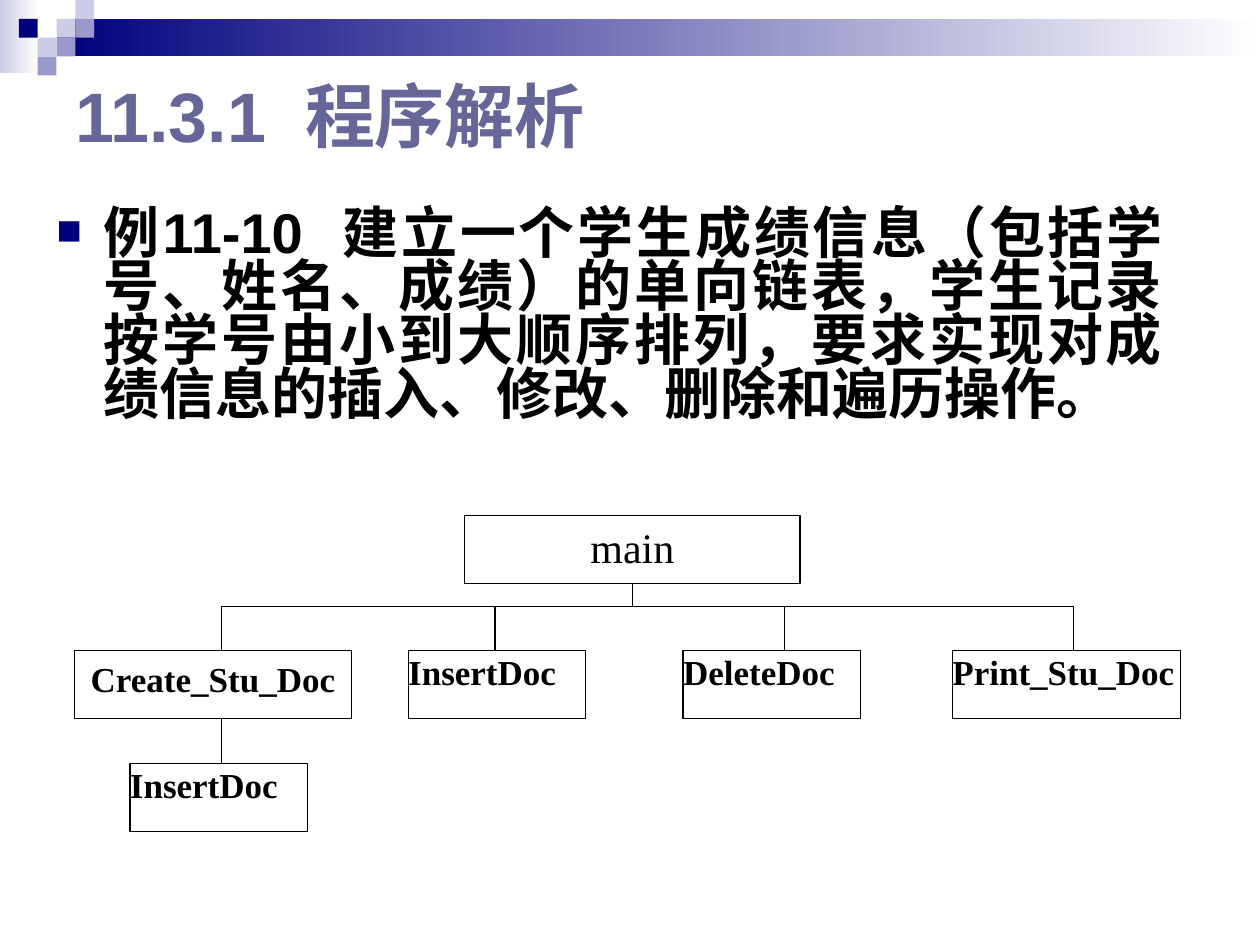
from lxml.etree import SubElement
from pptx import Presentation
from pptx.dml.color import RGBColor
from pptx.enum.shapes import MSO_CONNECTOR, MSO_SHAPE
from pptx.enum.text import MSO_ANCHOR, MSO_AUTO_SIZE, PP_ALIGN
from pptx.oxml.ns import qn
from pptx.util import Cm, Pt


def color(hex_text):
    return RGBColor.from_string(hex_text)


def add_box(left, top, width, height):
    shape = slide.shapes.add_shape(
        MSO_SHAPE.RECTANGLE, Cm(left), Cm(top), Cm(width), Cm(height))
    shape.shadow.inherit = False
    shape.line.fill.background()
    return shape


presentation = Presentation()
presentation.slide_width, presentation.slide_height = Cm(25.4), Cm(19.05)
slide = presentation.slides.add_slide(presentation.slide_layouts[1])

# Header: two gradient bands and a mosaic of small squares
for left, top, width, height, start in [
    (0, 0, 0.79, 1.47, "CCCCE6"),
    (1.14, 0.38, 24.26, 0.76, "00007D"),
]:
    band = add_box(left, top, width, height)
    band.fill.gradient()
    band.fill.gradient_angle = 0
    for stop, stop_color in zip(band.fill.gradient_stops, (start, "FFFFFF")):
        stop.color.rgb = color(stop_color)

SQUARE = 0.38
for column, row, square_color in [
    (3, 1, "CCCCE6"), (4, 0, "CCCCE6"), (4, 1, "9999CC"), (2, 2, "CCCCE6"),
    (1, 1, "00007D"), (3, 2, "9999CC"), (2, 3, "9999CC"),
]:
    square = add_box(column * SQUARE, row * SQUARE, SQUARE, SQUARE)
    square.fill.solid()
    square.fill.fore_color.rgb = color(square_color)

# Title and body text
title, body = slide.shapes.title, slide.placeholders[1]
for holder, text, place, size, text_color, align, anchor in [
    (title, "11.3.1  程序解析", (1.27, 1.27, 22.86, 2.06), 40, "666699",
     PP_ALIGN.LEFT, MSO_ANCHOR.MIDDLE),
    (body, "例11-10  建立一个学生成绩信息（包括学号、姓名、成绩）的单向链表，"
           "学生记录按学号由小到大顺序排列，要求实现对成绩信息的插入、修改、"
           "删除和遍历操作。", (0.89, 4.11, 22.81, 13.79), 32, "000000",
     PP_ALIGN.JUSTIFY, MSO_ANCHOR.TOP),
]:
    holder.left, holder.top, holder.width, holder.height = map(Cm, place)
    frame = holder.text_frame
    frame.text = text
    frame.auto_size = MSO_AUTO_SIZE.NONE
    frame.vertical_anchor = anchor
    frame.paragraphs[0].alignment = align
    font = frame.paragraphs[0].runs[0].font
    font.name, font.size, font.bold = "Arial", Pt(size), True
    font.color.rgb = color(text_color)

# Square bullet of the body paragraph
paragraph = body.text_frame.paragraphs[0]
paragraph.line_spacing = 0.8
paragraph.space_before = Pt(6.4)
properties = paragraph._p.get_or_add_pPr()
properties.set("marL", str(Cm(0.95)))
properties.set("indent", str(-Cm(0.95)))
bullet_color = SubElement(properties, qn("a:buClr"))
SubElement(bullet_color, qn("a:srgbClr"), val="00007D")
SubElement(properties, qn("a:buSzPct"), val="75000")
SubElement(properties, qn("a:buFont"), typeface="Arial")
SubElement(properties, qn("a:buChar"), char="■")

# Call tree: connecting lines
BUS, ROW, CHILD, BOX_HEIGHT = 12.22, 13.12, 15.39, 1.37
drops = [4.47, 9.98, 15.82, 21.64]
lines = [(drops[0], BUS, drops[-1], BUS)]
lines += [(x, BUS, x, ROW) for x in drops]
lines += [(12.75, 11.76, 12.75, BUS),
          (drops[0], ROW + BOX_HEIGHT, drops[0], CHILD)]
for ends in lines:
    connector = slide.shapes.add_connector(
        MSO_CONNECTOR.STRAIGHT, *map(Cm, ends))
    connector.line.color.rgb = color("000000")
    connector.line.width = Pt(0.75)
    SubElement(connector._element.spPr, qn("a:effectLst"))

# Call tree: function boxes
for name, left, top, width, size, centered in [
    ("main", 9.37, 10.39, 6.76, 24, True),
    ("Create_Stu_Doc", 1.5, ROW, 5.59, 20, True),
    ("InsertDoc", 8.23, ROW, 3.58, 20, False),
    ("DeleteDoc", 13.77, ROW, 3.58, 20, False),
    ("Print_Stu_Doc", 19.2, ROW, 4.6, 20, False),
    ("InsertDoc", 2.62, CHILD, 3.58, 20, False),
]:
    box = add_box(left, top, width, BOX_HEIGHT)
    box.fill.solid()
    box.fill.fore_color.rgb = color("FFFFFF")
    box.line.color.rgb = color("000000")
    box.line.width = Pt(0.75)
    frame = box.text_frame
    frame.text = name
    frame.word_wrap = True
    frame.vertical_anchor = MSO_ANCHOR.TOP
    if not centered:
        frame.margin_left = frame.margin_right = 0
        frame.margin_top = frame.margin_bottom = 0
    label = frame.paragraphs[0]
    label.alignment = PP_ALIGN.CENTER if centered else PP_ALIGN.JUSTIFY
    font = label.runs[0].font
    font.name, font.size, font.bold = "Times New Roman", Pt(size), name != "main"
    font.color.rgb = color("000000")

presentation.save("out.pptx")
